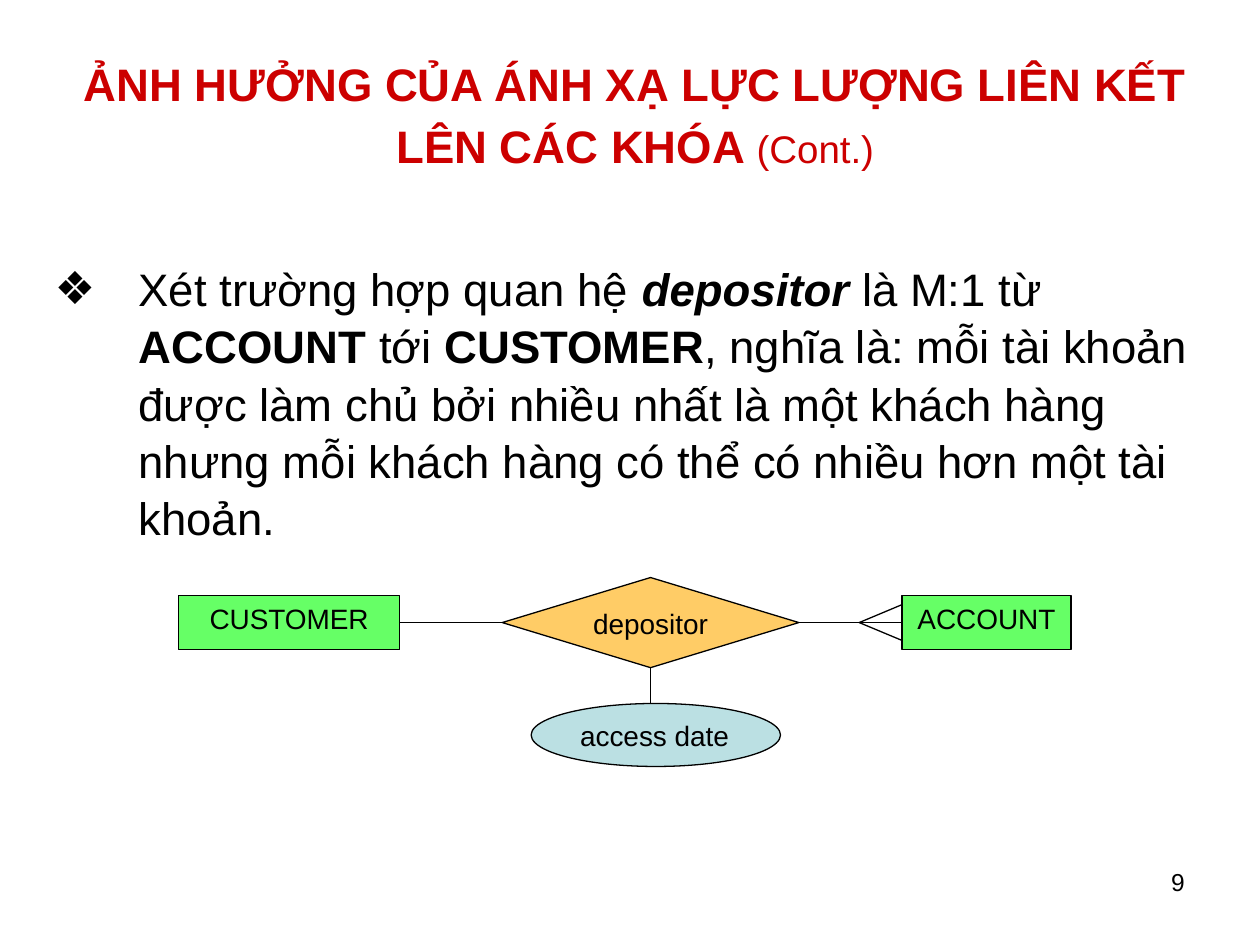
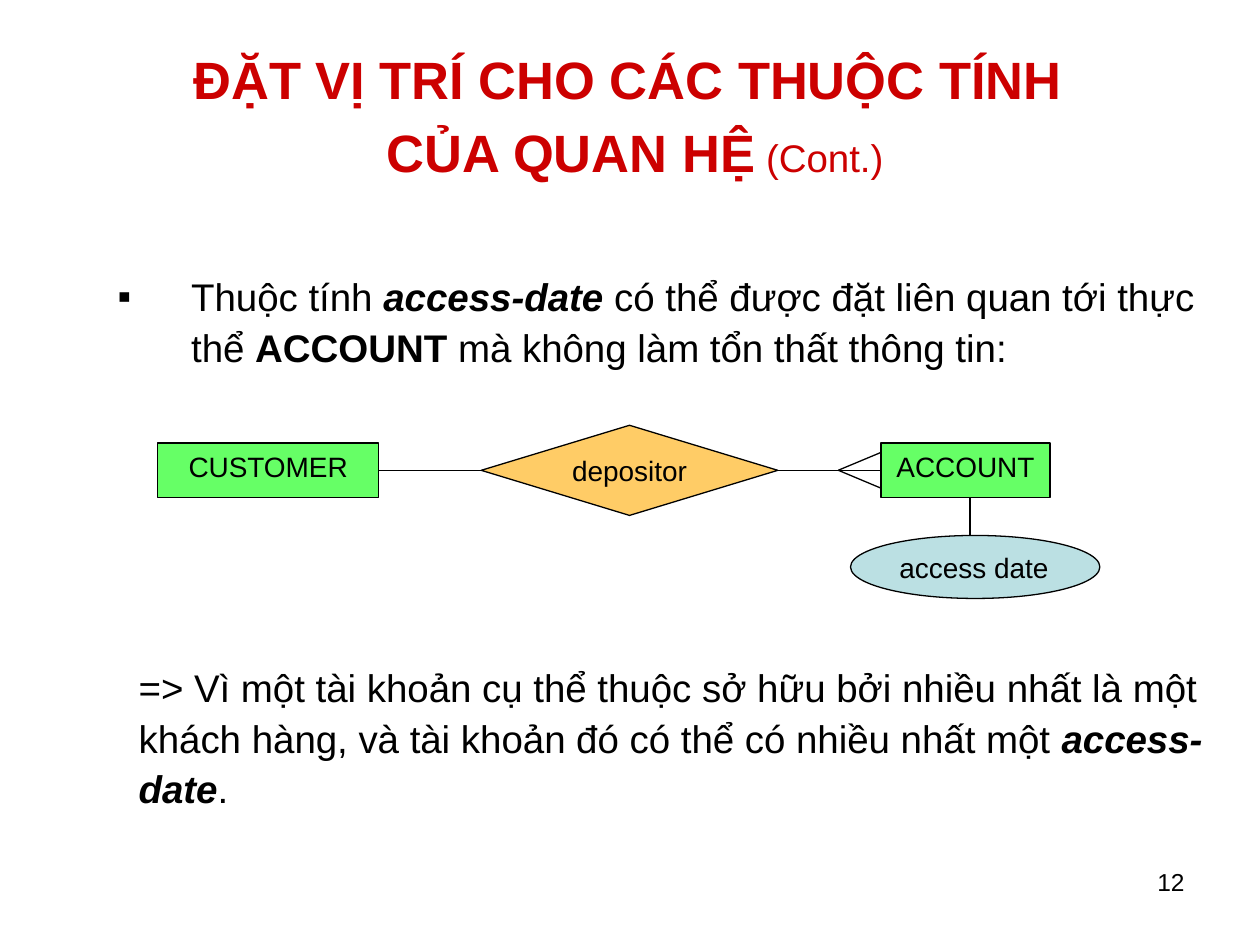
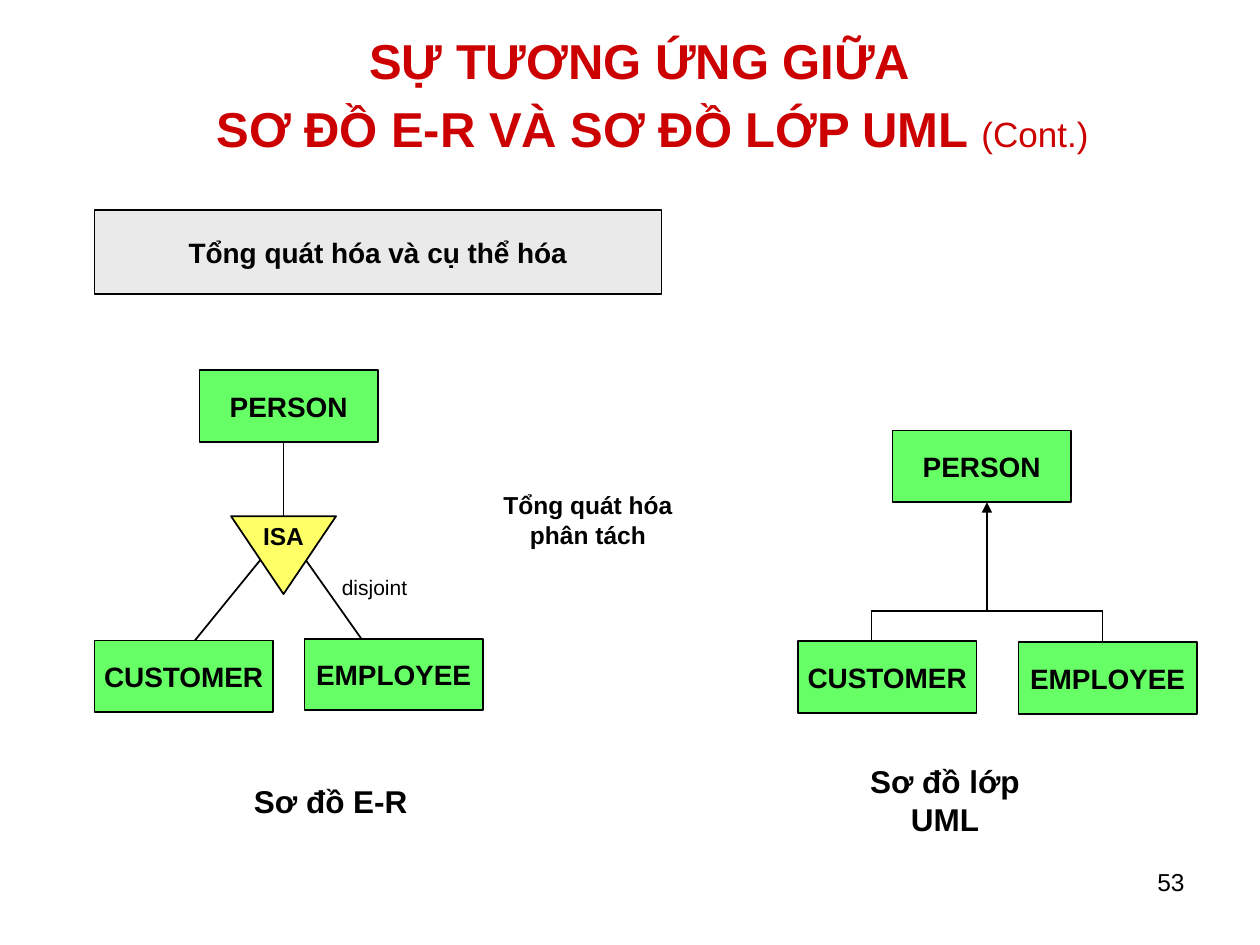
from lxml import etree
from pptx import Presentation
from pptx.dml.color import RGBColor
from pptx.enum.shapes import MSO_CONNECTOR, MSO_SHAPE
from pptx.enum.text import MSO_ANCHOR as ANC, MSO_AUTO_SIZE, PP_ALIGN as AL
from pptx.oxml.ns import qn
from pptx.util import Pt

C = {"title": "CC0000", "ink": "000000", "entity": "66FF66", "relation": "FFCC66",
     "attribute": "BBE0E3", "isa": "FFFF66", "banner": "EAEAEA"}
FONT = "Arial"
TITLE_BOX = (12, 18, 702, 90)
B, BI = {"bold": True}, {"bold": True, "italic": True}
NODE_W, NODE_H = 102, 41


def rgb(name):
    return RGBColor.from_string(C[name])


def apply(obj, values):
    for key, value in values.items():
        setattr(obj, key, value)


def place(sp, box):
    apply(sp, dict(zip(("left", "top", "width", "height"), map(Pt, box))))


def write(p, runs, size, color="ink", **base):
    for text, extra in runs:
        for i, part in enumerate(text.split("\n")):
            if i:
                p.add_line_break()
            r = p.add_run()
            r.text = part
            apply(r.font, {"name": FONT, "size": Pt(size), "bold": False, **base, **extra})
            r.font.color.rgb = rgb(color)


def add_title(s, box, size, runs):
    place(s.shapes.title, box)
    tf = s.shapes.title.text_frame
    apply(tf, {"auto_size": MSO_AUTO_SIZE.NONE, "vertical_anchor": ANC.MIDDLE})
    p = tf.paragraphs[0]
    apply(p, {"alignment": AL.CENTER, "line_spacing": 1.15})
    write(p, runs, size, "title", bold=True)


def set_indent(p, left, hanging=0, bullet=None):
    pPr = p._p.get_or_add_pPr()
    pPr.set("marL", str(Pt(left)))
    pPr.set("indent", str(-Pt(hanging)))
    if bullet:
        clr = etree.SubElement(pPr, qn("a:buClr"))
        etree.SubElement(clr, qn("a:srgbClr"), val=C["ink"])
        etree.SubElement(pPr, qn("a:buFont"), typeface=FONT)
        etree.SubElement(pPr, qn("a:buChar"), char=bullet)
    else:
        etree.SubElement(pPr, qn("a:buNone"))


def add_body(s, box, size, spacing, items):
    sp = s.placeholders[1]
    place(sp, box)
    tf = sp.text_frame
    apply(tf, {"auto_size": MSO_AUTO_SIZE.NONE, "vertical_anchor": ANC.TOP})
    for i, (indent, before, level, runs) in enumerate(items):
        p = tf.add_paragraph() if i else tf.paragraphs[0]
        set_indent(p, *indent)
        apply(p, {"level": level, "line_spacing": spacing, "space_before": Pt(before)})
        write(p, runs, size)


def fill_text(sp, text, size, bold, align, anchor, wrap):
    tf = sp.text_frame
    apply(tf, {"word_wrap": wrap, "vertical_anchor": anchor})
    tf.paragraphs[0].alignment = align
    write(tf.paragraphs[0], [(text, {})], size, bold=bold)


def add_label(s, box, text, size, bold=True, align=AL.CENTER, anchor=ANC.MIDDLE, wrap=False):
    sp = s.shapes.add_textbox(*map(Pt, box))
    fill_text(sp, text, size, bold, align, anchor, wrap)


def add_node(s, box, text, fill="entity", kind=MSO_SHAPE.RECTANGLE, size=16, bold=True,
             align=AL.CENTER, anchor=ANC.MIDDLE, wrap=False, weight=1):
    sp = s.shapes.add_shape(kind, *map(Pt, box))
    sp.shadow.inherit = False
    sp.fill.solid()
    sp.fill.fore_color.rgb = rgb(fill)
    sp.line.color.rgb = rgb("ink")
    sp.line.width = Pt(weight)
    fill_text(sp, text, size, bold, align, anchor, wrap)
    return sp


def add_line(s, x1, y1, x2, y2, weight=1, arrow=False):
    ln = s.shapes.add_connector(MSO_CONNECTOR.STRAIGHT, *map(Pt, (x1, y1, x2, y2)))
    ln.line.color.rgb = rgb("ink")
    ln.line.width = Pt(weight)
    etree.SubElement(ln._element.spPr, qn("a:effectLst"))
    if arrow:
        etree.SubElement(ln.line._get_or_add_ln(), qn("a:tailEnd"), type="triangle")
    return ln


def add_page_number(s, number):
    add_label(s, (516, 492, 168, 37), number, 14, False, AL.RIGHT, ANC.TOP, True)


def add_relation(s, x, y, attr_x, attr_y, attr_owner, link_shift=0):
    style = {"bold": False, "anchor": ANC.TOP, "wrap": True, "weight": 0.75}
    mid, foot, spread = y + 25.75, 24.5, 10.25
    account_x = x + 413.5
    nodes = {
        "customer": add_node(s, (x, y + 10.25, 126.5, 31), "CUSTOMER", **style),
        "account": add_node(s, (account_x, y + 10.25, 96.5, 31), "ACCOUNT", **style),
        "depositor": add_node(s, (x + 185, y, 169.5, 51.5), "depositor", "relation",
                              MSO_SHAPE.DIAMOND, **style),
    }
    add_node(s, (x + attr_x, y + attr_y, 142.5, 36), "access date", "attribute",
             MSO_SHAPE.OVAL, align=AL.LEFT, **style)
    for left, right in (("customer", "depositor"), ("depositor", "account")):
        ln = add_line(s, x, mid, account_x, mid, 0.75)
        ln.begin_connect(nodes[left], 3)
        ln.end_connect(nodes[right], 1)
    for dy in (-spread, spread):
        add_line(s, account_x - foot, mid, account_x, mid + dy, 0.75)
    owner = nodes[attr_owner]
    link_x = (owner.left + owner.width / 2) / Pt(1) + link_shift
    ln = add_line(s, link_x, (owner.top + owner.height) / Pt(1), link_x, y + attr_y, 0.75)
    if not link_shift:
        ln.begin_connect(owner, 2)


def add_entities(s, x, y, spots):
    for text, (dx, dy) in zip(("PERSON", "CUSTOMER", "EMPLOYEE"), spots):
        add_node(s, (x + dx, y + dy, NODE_W, NODE_H), text)


def add_er_tree(s, x, y):
    for x1, y1, x2, y2 in ((108, 41, 108, 84), (96, 107, 48, 166), (120, 107.5, 162, 167)):
        add_line(s, x + x1, y + y1, x + x2, y + y2)
    add_entities(s, x, y, ((60, 0), (0, 154.5), (120, 153.5)))
    add_node(s, (x + 78, y + 83.5, 60, 44.5), "ISA", "isa",
             MSO_SHAPE.FLOWCHART_MERGE, size=14)
    add_label(s, (x + 94, y + 112, 132, 24), "disjoint", 12, False)
    add_label(s, (x + 60, y + 232.5, 150, 27), "Sơ đồ E-R", 18)


def add_uml_tree(s, x, y):
    bar_y, left, right = y + 103, x + 42, x + 174
    for stub_x in (left, right):
        add_line(s, stub_x, y + 124, stub_x, bar_y)
    add_line(s, left, bar_y, right, bar_y)
    add_line(s, x + 108, bar_y, x + 108, y + NODE_H, arrow=True)
    add_entities(s, x, y, ((54, 0), (0, 120.5), (126, 121)))
    add_label(s, (x + 13, y + 198, 142, 26), "Sơ đồ lớp UML", 18)


def key_effect_slide(s):
    add_title(s, TITLE_BOX, 26, [
        ("ẢNH HƯỞNG CỦA ÁNH XẠ LỰC LƯỢNG LIÊN KẾT LÊN CÁC KHÓA ", {}),
        ("(Cont.)", {"size": Pt(22), "bold": False})])
    add_body(s, (24, 144, 678, 390), 26, 1.05, [((48, 48, "❖"), 0, 0, [
        ("Xét trường hợp quan hệ ", {}), ("depositor", BI), (" là M:1 từ ", {}),
        ("ACCOUNT", B), (" tới ", {}), ("CUSTOMER", B),
        (", nghĩa là: mỗi tài khoản được làm chủ bởi nhiều nhất là một khách hàng "
         "nhưng mỗi khách hàng có thể có nhiều hơn một tài khoản.", {})])])
    add_relation(s, 102, 330, 201.5, 72, "depositor")
    add_page_number(s, "9")


def attribute_slide(s):
    add_title(s, TITLE_BOX, 30, [
        ("ĐẶT VỊ TRÍ CHO CÁC THUỘC TÍNH \nCỦA QUAN HỆ", {}),
        (" ", {"size": Pt(22)}), ("(Cont.)", {"size": Pt(22), "bold": False})])
    add_body(s, (24, 150, 678, 384), 22, 1.1, [
        ((78, 42, "▪"), 0, 1, [
            ("Thuộc tính ", {}), ("access-date", BI),
            (" có thể được đặt liên quan tới thực thể ", {}), ("ACCOUNT", B),
            (" mà không làm tổn thất thông tin:", {})]),
        ((48,), 165, 0, [
            ("=> Vì một tài khoản cụ thể thuộc sở hữu bởi nhiều nhất là một khách hàng, "
             "và tài khoản đó có thể có nhiều nhất một ", {}),
            ("access-date", BI), (".", {})])])
    add_relation(s, 90, 243, 396, 63, "account", 2.5)
    add_page_number(s, "12")


def uml_slide(s):
    add_title(s, (18, 12, 702, 78), 28, [
        ("SỰ TƯƠNG ỨNG GIỮA \n SƠ ĐỒ E-R VÀ SƠ ĐỒ LỚP UML ", {}),
        ("(Cont.)", {"size": Pt(20), "bold": False})])
    add_node(s, (54, 120, 324, 48), "Tổng quát hóa và cụ thể hóa", "banner")
    add_er_tree(s, 54, 211.5)
    add_label(s, (270, 282, 132, 30), "Tổng quát hóa phân tách", 14)
    add_uml_tree(s, 456, 246)
    add_page_number(s, "53")


def main():
    prs = Presentation()
    prs.slide_width, prs.slide_height = Pt(720), Pt(540)
    for build, layout in ((key_effect_slide, 1), (attribute_slide, 1), (uml_slide, 5)):
        build(prs.slides.add_slide(prs.slide_layouts[layout]))
    prs.save("out.pptx")


if __name__ == "__main__":
    main()
